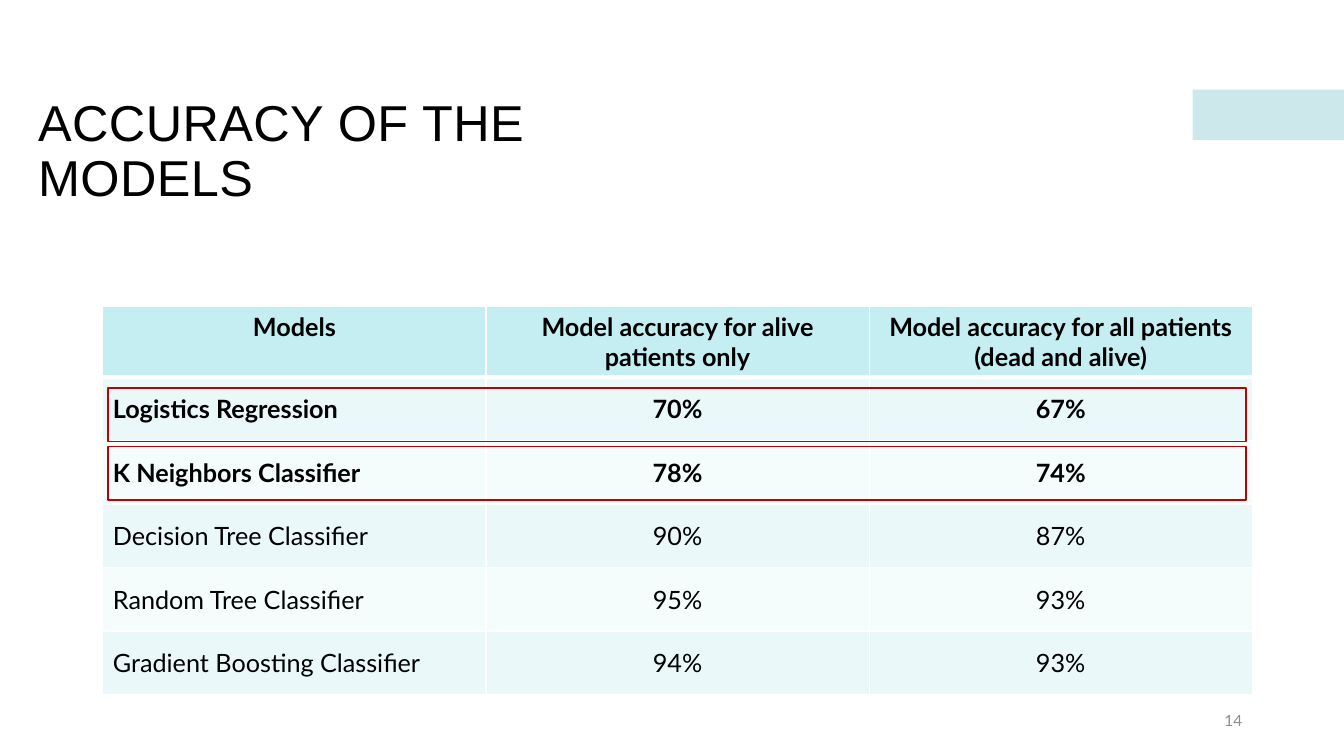
import pptx
import pptx.util
import pptx.dml.color
import pptx.enum.shapes
import pptx.enum.text
import pptx.oxml

Inches = pptx.util.Inches
Pt = pptx.util.Pt
ALIGN = pptx.enum.text.PP_ALIGN
MIDDLE = pptx.enum.text.MSO_ANCHOR.MIDDLE
NS = "http://schemas.openxmlformats.org/drawingml/2006/main"

ROWS = [
    ("Models", "Model accuracy for alive patients only",
     "Model accuracy for all patients (dead and alive)"),
    ("Logistics Regression", "70%", "67%"),
    ("K Neighbors Classifier", "78%", "74%"),
    ("Decision Tree Classifier", "90%", "87%"),
    ("Random Tree Classifier", "95%", "93%"),
    ("Gradient Boosting Classifier", "94%", "93%"),
]
HEAD = 0.7
STEP = 0.63


def paint(hue):
    """Turn a hex string into a colour."""
    return pptx.dml.color.RGBColor.from_string(hue)


def style(para, face, size, hue, align=ALIGN.LEFT, bold=False):
    """Set the font and alignment of a paragraph."""
    para.alignment = align
    para.font.name = face
    para.font.size = Pt(size)
    para.font.bold = bold
    para.font.color.rgb = paint(hue)


def frame(slide, box):
    """Add a rectangle with no shadow, fill or line."""
    shape = slide.shapes.add_shape(
        pptx.enum.shapes.MSO_SHAPE.RECTANGLE, *map(Inches, box))
    shape.shadow.inherit = False
    shape.fill.background()
    shape.line.fill.background()
    return shape


def accent(slide, box):
    """Add the pale bar at the right edge."""
    bar = frame(slide, box)
    bar.fill.solid()
    bar.fill.fore_color.rgb = paint("9CD3D9")
    tint = bar.fill._xPr.find(f".//{{{NS}}}srgbClr")
    tint.append(pptx.oxml.parse_xml(f'<a:alpha xmlns:a="{NS}" val="50000"/>'))


def label(slide, box, text, *look):
    """Add a wrapped text box, centred in height, and return its run."""
    body = slide.shapes.add_textbox(*map(Inches, box)).text_frame
    body.word_wrap = True
    body.vertical_anchor = MIDDLE
    para = body.paragraphs[0]
    run = para.add_run()
    run.text = text
    style(para, *look)
    return run


def title(slide, box):
    """Add the slide title."""
    run = label(slide, box, "ACCURACY OF THE MODELS", "Arial", 36, "000000")
    run.font._element.set("spc", "30")
    slide.shapes[-1].text_frame.paragraphs[0].line_spacing = 0.9


def edge(cell, head):
    """Draw the white borders of a cell."""
    props = cell._tc.get_or_add_tcPr()
    for side in "LRTB":
        width = Pt(3 if head and side == "B" else 1)
        props.append(pptx.oxml.parse_xml(
            f'<a:ln{side} xmlns:a="{NS}" w="{width}"><a:solidFill>'
            f'<a:srgbClr val="FFFFFF"/></a:solidFill></a:ln{side}>'))


def scores(slide, box):
    """Add the accuracy table and frame its first two models."""
    left, top, wide, high = box
    grid = slide.shapes.add_table(
        len(ROWS), len(ROWS[0]), *map(Inches, box)).table
    grid.first_row = grid.horz_banding = False
    for col in grid.columns:
        col.width = Inches(wide / len(ROWS[0]))
    for r, row in enumerate(ROWS):
        grid.rows[r].height = Inches(STEP if r else HEAD)
        for c, text in enumerate(row):
            cell = grid.cell(r, c)
            cell.text = text
            edge(cell, r == 0)
            cell.fill.solid()
            band = "EAF8FA" if r % 2 else "F5FCFC"
            cell.fill.fore_color.rgb = paint(band if r else "C4EEF2")
            if r:
                cell.vertical_anchor = MIDDLE
            align = ALIGN.LEFT if r and c == 0 else ALIGN.CENTER
            style(cell.text_frame.paragraphs[0], "Lato", 18, "000000",
                  align, r < 3)
    for drop in (1.39, 0.81):
        mark = frame(slide, (left + 0.05, top + drop, wide - 0.11, 0.53))
        mark.line.color.rgb = paint("C00000")
        mark.line.width = Pt(1)


def main():
    """Build and save the slide."""
    deck = pptx.Presentation()
    deck.slide_width = Inches(13.33)
    deck.slide_height = Inches(7.5)
    slide = deck.slides.add_slide(deck.slide_layouts[6])
    accent(slide, (11.83, 0.89, 1.5, 0.5))
    title(slide, (0.28, 0.3, 6.68, 2.43))
    label(slide, (9.42, 6.95, 3, 0.4), "14", "Lato", 11, "8C8C8C", ALIGN.RIGHT)
    scores(slide, (1.02, 3.04, 11.4, HEAD + STEP * (len(ROWS) - 1)))
    deck.save("out.pptx")


if __name__ == "__main__":
    main()
